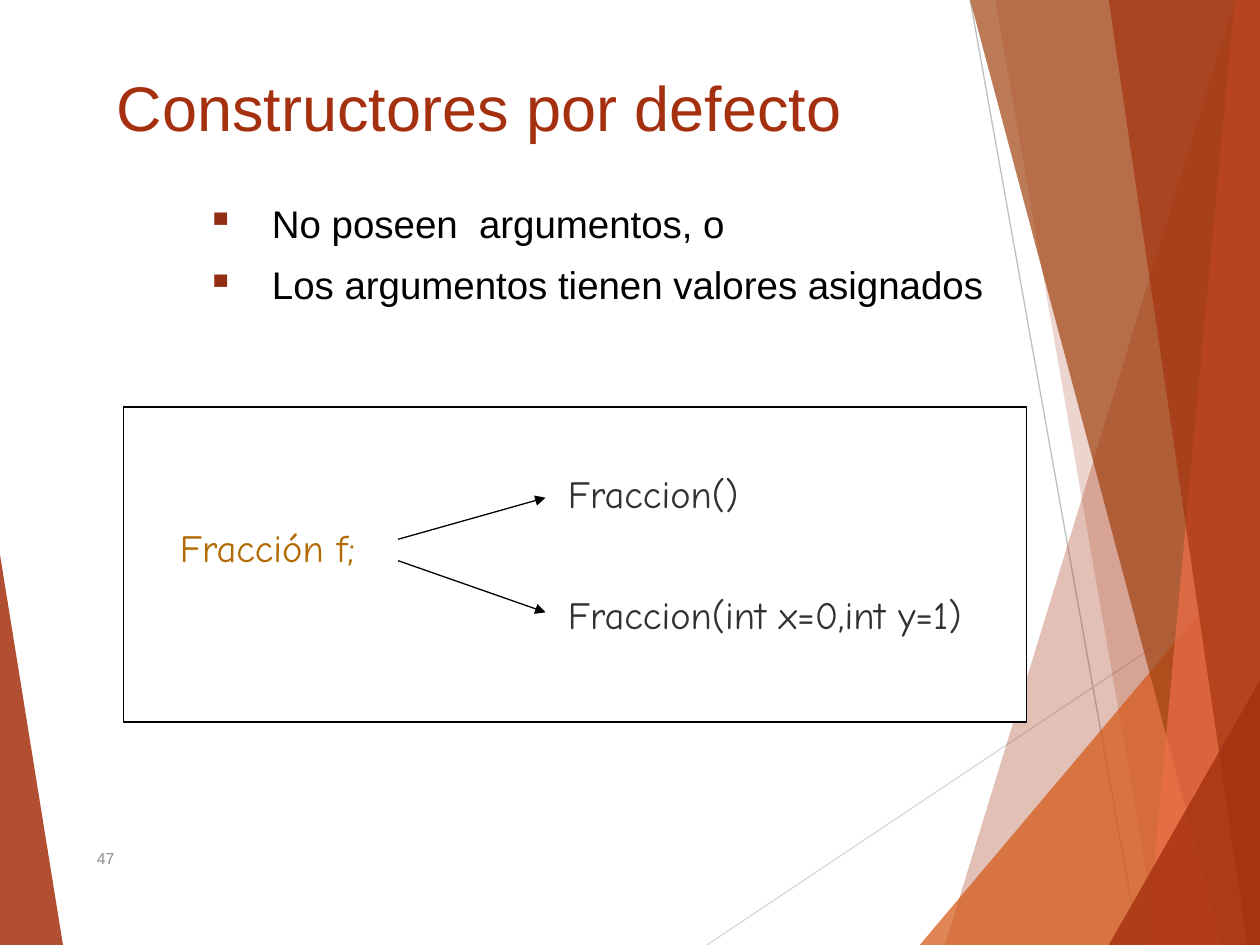
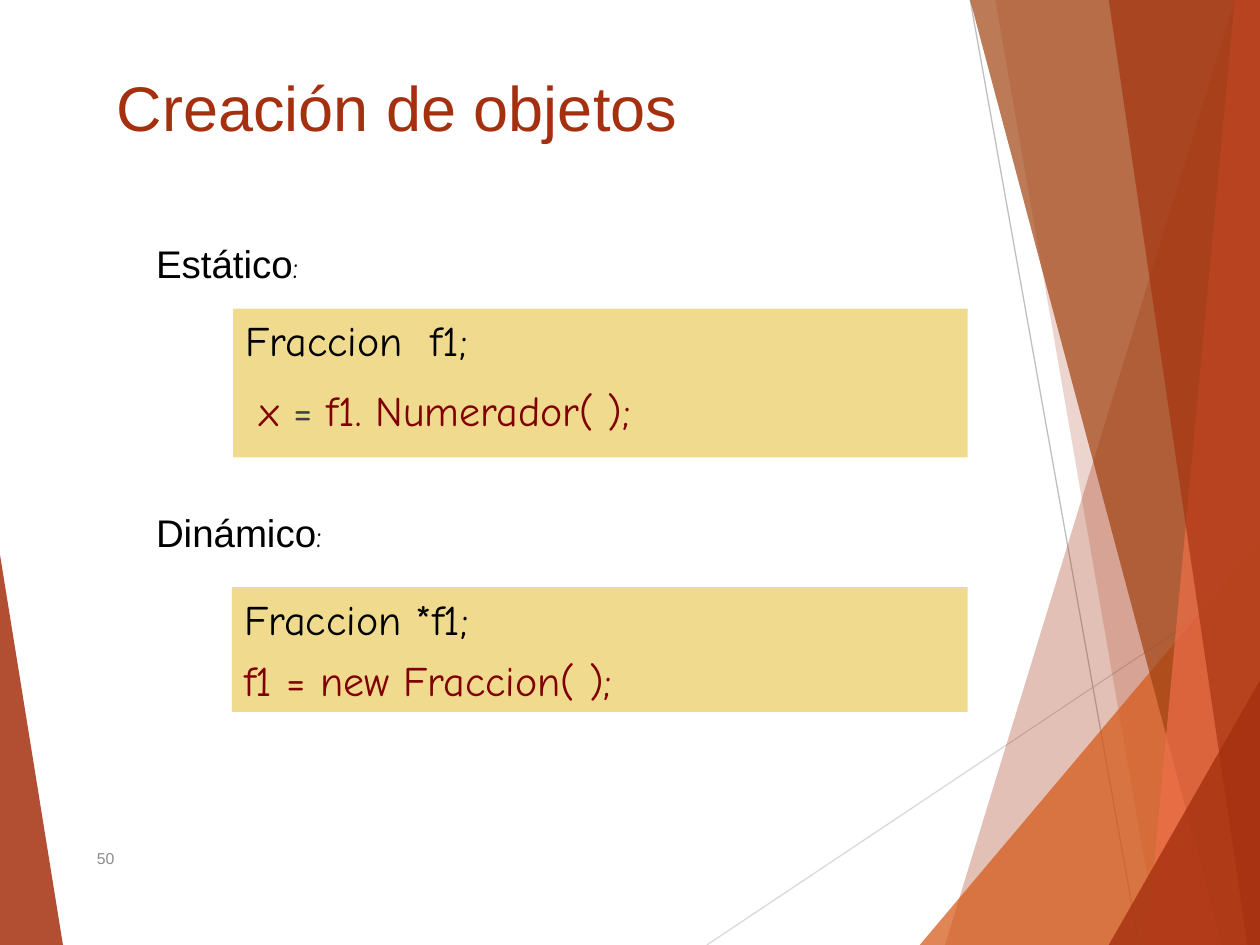
from lxml import etree
from pptx import Presentation
from pptx import util as u
from pptx.dml.color import RGBColor
from pptx.enum import shapes, text
from pptx.oxml.ns import qn

deck = Presentation()
deck.slide_width, deck.slide_height = u.Inches(10), u.Inches(7.5)
COL = deck.slide_width / 100
ROW = deck.slide_height / 75

RUST, ORANGE, BROWN, CORAL = "A5300F", "D55816", "A04210", "EE6E4A"
BLACK, WHITE, GREY, SAND = "000000", "FFFFFF", "8C8C8C", "EFDA8E"
CODE_DARK, CODE_GOLD, CODE_RED, CODE_GREY = "323232", "B26B02", "800000", "404040"
BULLET = "912E13"
SANS, HAND = "Arial", "Comic Neue"


def paint(fill, hex_code, opacity=100):
    fill.solid()
    fill.fore_color.rgb = RGBColor.from_string(hex_code)
    if opacity < 100:
        for tint in fill._xPr.iter(qn("a:srgbClr")):
            etree.SubElement(tint, qn("a:alpha")).set("val", str(opacity * 1000))


def write(box, paragraphs, gap=0, anchor=text.MSO_ANCHOR.TOP):
    """Fill a box; a paragraph is a list of (wording, size, font, colour), gap is in points."""
    frame = box.text_frame
    frame.word_wrap = True
    frame.vertical_anchor = anchor
    for index, spans in enumerate(paragraphs):
        para = frame.add_paragraph() if index else frame.paragraphs[0]
        para.alignment = text.PP_ALIGN.LEFT
        if index:
            para.space_before = u.Pt(gap)
        for wording, size, font, hex_code in spans:
            span = para.add_run()
            span.text = wording
            span.font.size = u.Pt(size)
            span.font.name = font
            paint(span.font.fill, hex_code)


# Lines: start, end, colour, arrowhead. Shards: colour, opacity, corners.
guides = [
    ("line", (56.1, 75), (100, 45.7), "D9D9D9", False),
    ("line", (77, 0), (90.4, 75), "BFBFBF", False),
]
shards = [
    ("shard", RUST, 30, [(97.5, 0), (75.4, 75), (100, 75), (100, 0)]),
    ("shard", RUST, 20, [(78.8, 0), (91.9, 75), (100, 75), (100, 0)]),
    ("shard", ORANGE, 72, [(72.6, 75), (100, 42.9), (100, 75)]),
    ("shard", BROWN, 70, [(76.7, 0), (97, 75), (100, 75), (100, 0)]),
    ("shard", CORAL, 70, [(98.1, 0), (90.7, 75), (100, 75), (100, 0)]),
    ("shard", RUST, 65, [(88.3, 0), (98.6, 75), (100, 75), (99.8, 0)]),
    ("shard", RUST, 80, [(88.1, 75), (100, 53.5), (100, 75)]),
]
backdrop = [("shard", RUST, 85, [(0, 43.9), (4.9, 75), (0, 75)]), *guides, *shards]

# Panels and texts: place (left, top, width, height), look, paragraphs, gap.
constructors = [
    ("bullets", (15.4, 15.4, 72.5, 9.9), None, [
        [("No poseen  argumentos, o", 22, SANS, BLACK)],
        [("Los argumentos tienen valores asignados", 22, SANS, BLACK)]], 11.5),
    ("panel", (9.8, 32.3, 71.7, 25), (WHITE, BLACK), [], 0),
    ("text", (13.3, 41.1, 20, 4.7), None, [[("Fracción f;", 22, HAND, CODE_GOLD)]], 0),
    ("text", (44.1, 36.8, 40, 16.2), None, [
        [("Fraccion()", 22, HAND, CODE_DARK)],
        [("Fraccion(int x=0,int y=1)", 22, HAND, CODE_DARK)]], 43),
    ("line", (31.6, 42.8), (43.3, 39.5), BLACK, True),
    ("line", (31.6, 44.5), (43.3, 48.6), BLACK, True),
]
static_code = [
    [("Fraccion  f1;", 24, HAND, BLACK)],
    [(" x", 24, HAND, CODE_RED), (" =", 24, HAND, CODE_GREY),
     (" f1. Numerador( );", 24, HAND, CODE_RED)],
]
dynamic_code = [
    [("Fraccion *f1;", 24, HAND, BLACK)],
    [("f1 = new Fraccion( );", 24, HAND, CODE_RED)],
]
creation = [
    ("panel", (18.5, 24.5, 58.3, 11.8), (SAND, None), static_code, 11),
    ("panel", (18.4, 46.6, 58.4, 9.9), (SAND, None), dynamic_code, 6),
]
for heading, top in (("Estático", 18.6), ("Dinámico", 39.9)):
    creation.append(("text", (11.4, top, 38.3, 4.7), None,
                     [[(heading, 22, SANS, BLACK), (":", 18, HAND, BLACK)]], 0))

pages = [
    ("Constructores por defecto", "47", constructors),
    ("Creación de objetos", "50", creation),
]

for title, number, content in pages:
    page = deck.slides.add_slide(deck.slide_layouts[6])

    for kind, *details in backdrop + content:
        if kind == "shard":
            hex_code, opacity, corners = details
            outline = page.shapes.build_freeform(*corners[0], scale=(COL, ROW))
            outline.add_line_segments(corners[1:], close=True)
            shard = outline.convert_to_shape()
            shard.shadow.inherit = False
            paint(shard.fill, hex_code, opacity)
            shard.line.fill.background()
        elif kind == "line":
            (x1, y1), (x2, y2), hex_code, arrow = details
            line = page.shapes.add_connector(
                shapes.MSO_CONNECTOR.STRAIGHT,
                round(x1 * COL), round(y1 * ROW), round(x2 * COL), round(y2 * ROW))
            paint(line.line.fill, hex_code)
            line.line.width = u.Pt(0.75)
            if arrow:
                head = etree.SubElement(line.line._get_or_add_ln(), qn("a:tailEnd"))
                head.set("type", "triangle")
            etree.SubElement(line._element.spPr, qn("a:effectLst"))
        else:
            (left, top, width, height), look, paragraphs, gap = details
            area = [round(n) for n in (left * COL, top * ROW, width * COL, height * ROW)]
            if kind == "panel":
                box = page.shapes.add_shape(shapes.MSO_SHAPE.RECTANGLE, *area)
                box.shadow.inherit = False
                fill, border = look
                paint(box.fill, fill)
                if border:
                    paint(box.line.fill, border)
                    box.line.width = u.Pt(0.75)
                else:
                    box.line.fill.background()
            else:
                box = page.shapes.add_textbox(*area)
            write(box, paragraphs, gap)
            if kind == "bullets":
                for para in box.text_frame.paragraphs:
                    para.alignment = text.PP_ALIGN.JUSTIFY
                    props = para._p.get_or_add_pPr()
                    props.set("marL", str(u.Inches(0.52)))
                    props.set("indent", str(-u.Inches(0.52)))
                    tint = etree.SubElement(props, qn("a:buClr"))
                    etree.SubElement(tint, qn("a:srgbClr")).set("val", BULLET)
                    etree.SubElement(props, qn("a:buChar")).set("char", "▪")
                box.text_frame.paragraphs[-1].line_spacing = 0.9

    number_box = page.shapes.add_textbox(
        round(6.7 * COL), round(66.1 * ROW), round(50.6 * COL), round(4 * ROW))
    write(number_box, [[(number, 9, SANS, GREY)]], anchor=text.MSO_ANCHOR.MIDDLE)

    title_box = page.shapes.add_textbox(
        round(8.3 * COL), round(4.4 * ROW), round(89.3 * COL), round(7 * ROW))
    write(title_box, [[(title, 36, SANS, RUST)]], anchor=text.MSO_ANCHOR.BOTTOM)
    title_box.text_frame.margin_bottom = 0

deck.save("out.pptx")
